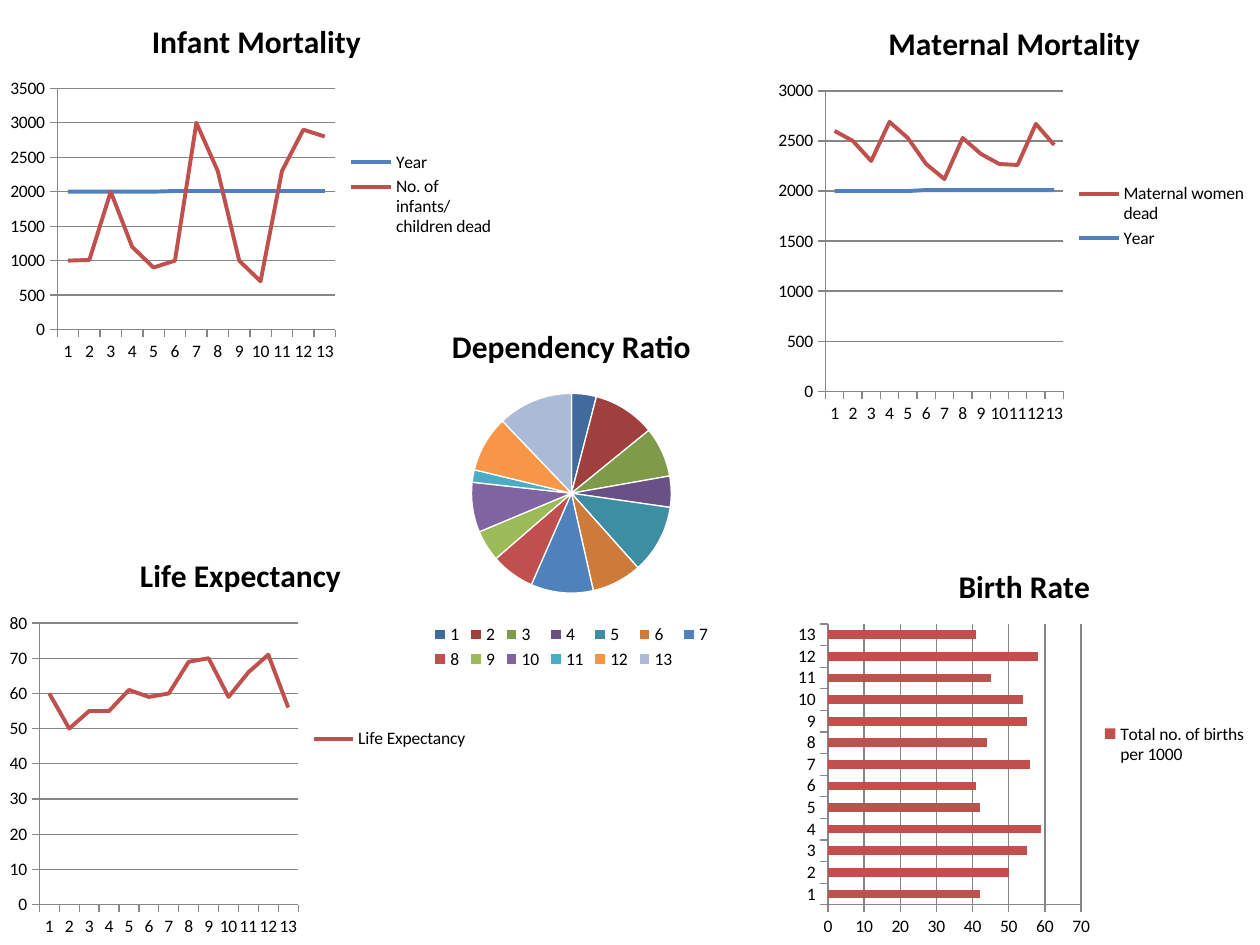
from pptx import Presentation
from pptx.chart.data import CategoryChartData
from pptx.dml.color import RGBColor
from pptx.enum.chart import XL_CHART_TYPE as CT, XL_LEGEND_POSITION as LP, XL_TICK_MARK as TM
from pptx.util import Inches, Pt

COLORS = {"blue": "4F81BD", "red": "C0504D", "grid": "868686", "text": "000000", "edge": "FFFFFF"}
SLICES = ["416A9D", "9F403E", "7F9A48", "695185", "3E8EA3", "CC7B38", "4F81BD",
          "C0504D", "9BBB59", "8064A2", "4BACC6", "F79646", "AABAD7"]
FONT = "Calibri"
CATEGORIES = [str(n) for n in range(1, 14)]
YEARS = [2000] * 5 + [2010] * 8


def rgb(name):
    return RGBColor.from_string(COLORS[name])


def set_font(font, size, bold=False):
    font.name, font.size, font.bold = FONT, Pt(size), bold
    font.color.rgb = rgb("text")


def set_line(line, color, width):
    line.color.rgb = rgb(color)
    line.width = Pt(width)


def add_chart(slide, kind, box, title, series, legend=LP.RIGHT):
    data = CategoryChartData()
    data.categories = CATEGORIES
    for name, values in series:
        data.add_series(name, values)
    chart = slide.shapes.add_chart(kind, *map(Inches, box), data).chart
    set_font(chart.font, 10)
    chart.has_title = True
    p = chart.chart_title.text_frame.paragraphs[0]
    p.text = title
    set_font(p.font, 18, True)
    chart.chart_title.include_in_layout = False
    chart.has_legend = True
    chart.legend.position = legend
    chart.legend.include_in_layout = False
    return chart


def style_axes(chart):
    for axis in (chart.category_axis, chart.value_axis):
        axis.major_tick_mark, axis.minor_tick_mark = TM.OUTSIDE, TM.NONE
        set_line(axis.format.line, "grid", 0.75)
    chart.value_axis.has_major_gridlines = True
    set_line(chart.value_axis.major_gridlines.format.line, "grid", 0.75)


def add_line_chart(slide, kind, box, title, series, colors):
    chart = add_chart(slide, kind, box, title, series)
    style_axes(chart)
    for s, color in zip(chart.plots[0].series, colors):
        s.smooth = False
        set_line(s.format.line, color, 2.25)


def add_bar_chart(slide, box, title, series):
    chart = add_chart(slide, CT.BAR_CLUSTERED, box, title, series)
    style_axes(chart)
    plot = chart.plots[0]
    plot.gap_width = 150
    plot.vary_by_categories = False
    fill = plot.series[0].format.fill
    fill.solid()
    fill.fore_color.rgb = rgb("red")


def add_pie_chart(slide, box, title, series):
    chart = add_chart(slide, CT.PIE, box, title, series, LP.BOTTOM)
    plot = chart.plots[0]
    plot.vary_by_categories = True
    for i, color in enumerate(SLICES):
        fmt = plot.series[0].points[i].format
        fmt.fill.solid()
        fmt.fill.fore_color.rgb = RGBColor.from_string(color)
        set_line(fmt.line, "edge", 0.75)


def main():
    prs = Presentation()
    prs.slide_width, prs.slide_height = Inches(10), Inches(7.5)
    slide = prs.slides.add_slide(prs.slide_layouts[6])

    infants = [1000, 1010, 2000, 1200, 900, 1000, 3000, 2300, 1000, 700, 2300, 2900, 2800]
    mothers = [600, 500, 300, 690, 530, 260, 110, 520, 360, 260, 250, 660, 450]
    expectancy = [60, 50, 55, 55, 61, 59, 60, 69, 70, 59, 66, 71, 56]
    births = [42, 50, 55, 59, 42, 41, 56, 44, 55, 54, 45, 58, 41]
    dependency = [4, 10, 8, 5, 11, 8, 10, 7, 5, 8, 2, 9, 12]

    add_line_chart(slide, CT.LINE, (0, 0, 4.07, 2.93), "Infant Mortality",
                   [("Year", YEARS), ("No. of infants/children dead", infants)], ["blue", "red"])
    add_line_chart(slide, CT.LINE_STACKED, (6.1, 0, 3.9, 3.43), "Maternal Mortality",
                   [("Year", YEARS), ("Maternal women dead", mothers)], ["blue", "red"])
    add_line_chart(slide, CT.LINE, (0, 4.23, 3.82, 3.27), "Life Expectancy",
                   [("Life Expectancy", expectancy)], ["red"])
    add_bar_chart(slide, (6.26, 4.32, 3.74, 3.18), "Birth Rate",
                  [("Total no. of births per 1000", births)])
    add_pie_chart(slide, (2.5, 2.42, 4.07, 2.93), "Dependency Ratio",
                  [("Dependency Ratio", dependency)])
    prs.save("out.pptx")


if __name__ == "__main__":
    main()
